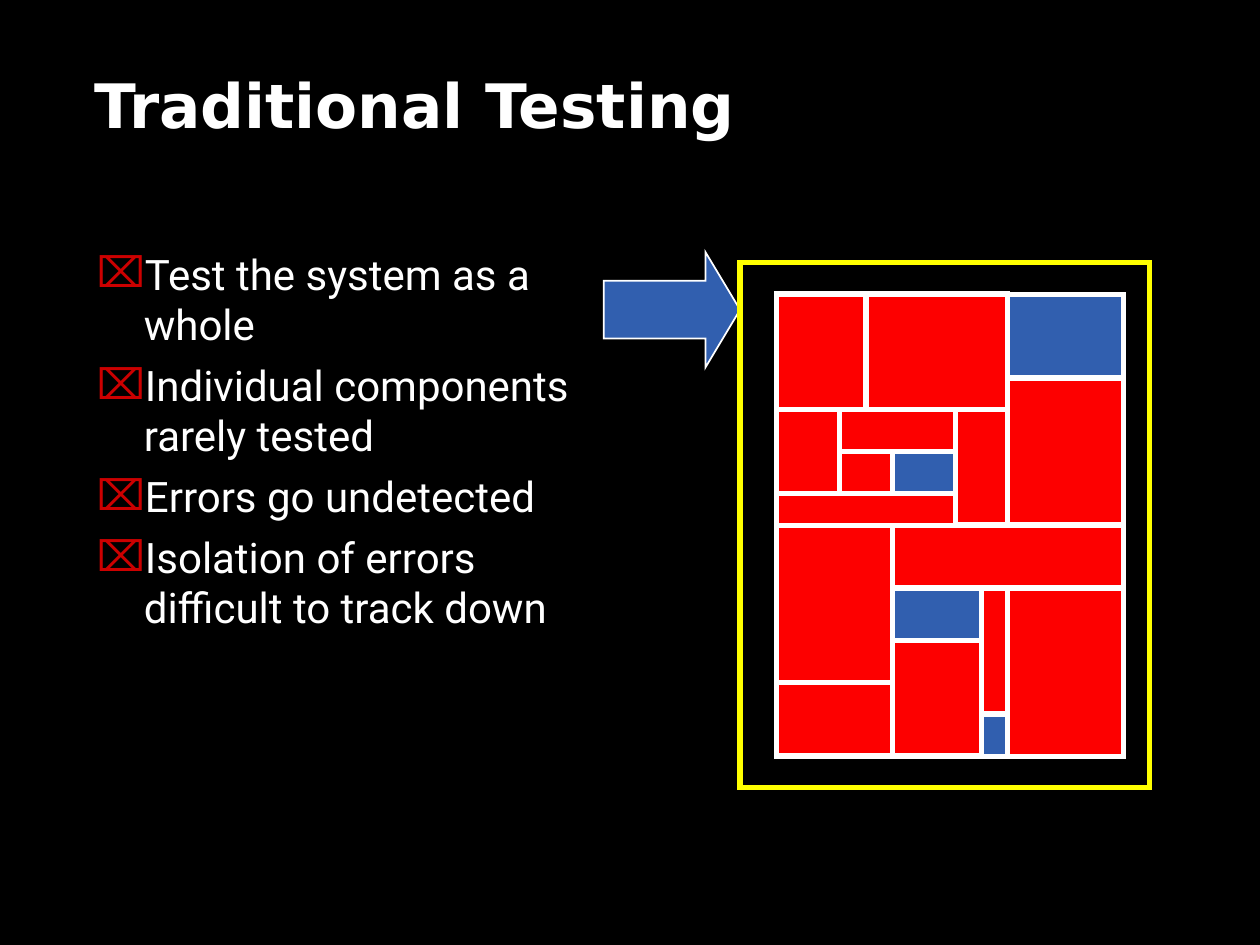
from lxml.etree import SubElement
from pptx import Presentation
from pptx.dml.color import RGBColor
from pptx.enum.shapes import MSO_SHAPE
from pptx.enum.text import MSO_ANCHOR, MSO_AUTO_SIZE, PP_ALIGN
from pptx.oxml.ns import qn
from pptx.util import Cm, Pt

# Component map: left, top, width, height in map units
MAP_LEFT, MAP_TOP = Cm(15.66), Cm(5.93)
UNIT = Cm(2.54) // 24
FRAME = (-7, -6, 78, 100)
UNTESTED = [
    (0, 0, 17, 22), (17, 0, 27, 22), (44, 16, 22, 28),
    (0, 22, 12, 16), (12, 22, 22, 8), (34, 22, 10, 22),
    (12, 30, 10, 8), (0, 38, 34, 6),
    (0, 44, 22, 30), (22, 44, 44, 12), (0, 74, 22, 14),
    (22, 66, 17, 22), (39, 56, 5, 24), (44, 56, 22, 32),
]
TESTED = [(44, 0, 22, 16), (22, 30, 12, 8), (22, 56, 17, 10), (39, 80, 5, 8)]

POINTS = [
    "Test the system as a whole",
    "Individual components rarely tested",
    "Errors go undetected",
    "Isolation of errors difficult to track down",
]


def color(hex_code):
    return RGBColor.from_string(hex_code)


def write(paragraph, text, *, font, size, fill, bold=False, before=0, spacing=1.0):
    paragraph.alignment = PP_ALIGN.LEFT
    paragraph.space_before = Pt(before)
    paragraph.line_spacing = spacing
    run = paragraph.add_run()
    run.text = text
    run.font.name = font
    run.font.size = Pt(size)
    run.font.bold = bold
    run.font.color.rgb = color(fill)


class SlideBuilder:
    white, red, blue, yellow = "FFFFFF", "FD0000", "315FAF", "FFFF00"
    bullet_red, black = "CC0000", "000000"
    title_font, body_font = "DejaVu Sans", "Roboto"

    def __init__(self, slide):
        self.slide = slide
        slide.background.fill.solid()
        slide.background.fill.fore_color.rgb = color(self.black)

    def place(self, placeholder, box, insets, anchor):
        placeholder.left, placeholder.top, placeholder.width, placeholder.height = box
        frame = placeholder.text_frame
        frame.word_wrap = True
        frame.auto_size = MSO_AUTO_SIZE.NONE
        frame.vertical_anchor = anchor
        frame.margin_left = frame.margin_right = insets[0]
        frame.margin_top = frame.margin_bottom = insets[1]
        return frame

    def title(self, text, box):
        frame = self.place(self.slide.shapes.title, box, (0, 0), MSO_ANCHOR.MIDDLE)
        write(frame.paragraphs[0], text, font=self.title_font, size=35,
              fill=self.white, bold=True, spacing=0.85)

    def bullets(self, points, box):
        frame = self.place(self.slide.placeholders[1], box,
                           (Cm(0.25), Cm(0.13)), MSO_ANCHOR.TOP)
        for index, point in enumerate(points):
            paragraph = frame.add_paragraph() if index else frame.paragraphs[0]
            self.bullet(paragraph)
            write(paragraph, point, font=self.body_font, size=24,
                  fill=self.white, before=6 if index else 0)

    def bullet(self, paragraph):
        properties = paragraph._p.get_or_add_pPr()
        properties.set("marL", str(Cm(0.95)))
        properties.set("indent", str(-Cm(0.95)))
        bullet_color = SubElement(properties, qn("a:buClr"))
        SubElement(bullet_color, qn("a:srgbClr"), val=self.bullet_red)
        SubElement(properties, qn("a:buChar"), char="⌧")

    def shape(self, kind, box, fill, line, width, parent=None):
        shapes = (parent or self.slide).shapes
        shape = shapes.add_shape(kind, *box)
        shape.shadow.inherit = False
        if fill:
            shape.fill.solid()
            shape.fill.fore_color.rgb = color(fill)
        else:
            shape.fill.background()
        shape.line.color.rgb = color(line)
        shape.line.width = Pt(width)
        SubElement(shape.line._get_or_add_ln(), qn("a:miter"), lim="800000")
        return shape

    def component(self, cell, fill, line, parent=None):
        left, top, width, height = (value * UNIT for value in cell)
        box = (MAP_LEFT + left, MAP_TOP + top, width, height)
        self.shape(MSO_SHAPE.RECTANGLE, box, fill, line, 3, parent)


def main():
    presentation = Presentation()
    presentation.slide_width, presentation.slide_height = Cm(25.4), Cm(19.05)
    builder = SlideBuilder(
        presentation.slides.add_slide(presentation.slide_layouts[1]))

    # Title and list
    builder.title("Traditional Testing", (Cm(1.9), Cm(1.48), Cm(20.75), Cm(1.48)))
    builder.bullets(POINTS, (Cm(1.7), Cm(4.87), Cm(10.7), Cm(11.33)))

    # Arrow pointing at the whole system
    arrow = builder.shape(MSO_SHAPE.RIGHT_ARROW,
                          (Cm(12.17), Cm(5.08), Cm(2.75), Cm(2.33)),
                          builder.blue, builder.white, 1)
    arrow.adjustments[0], arrow.adjustments[1] = 0.5, 0.3

    # System frame with its untested components
    system = builder.slide.shapes.add_group_shape()
    builder.component(FRAME, None, builder.yellow, system)
    for cell in UNTESTED:
        builder.component(cell, builder.red, builder.white, system)

    # Tested components
    for cell in TESTED:
        builder.component(cell, builder.blue, builder.white)

    presentation.save("out.pptx")


if __name__ == "__main__":
    main()
